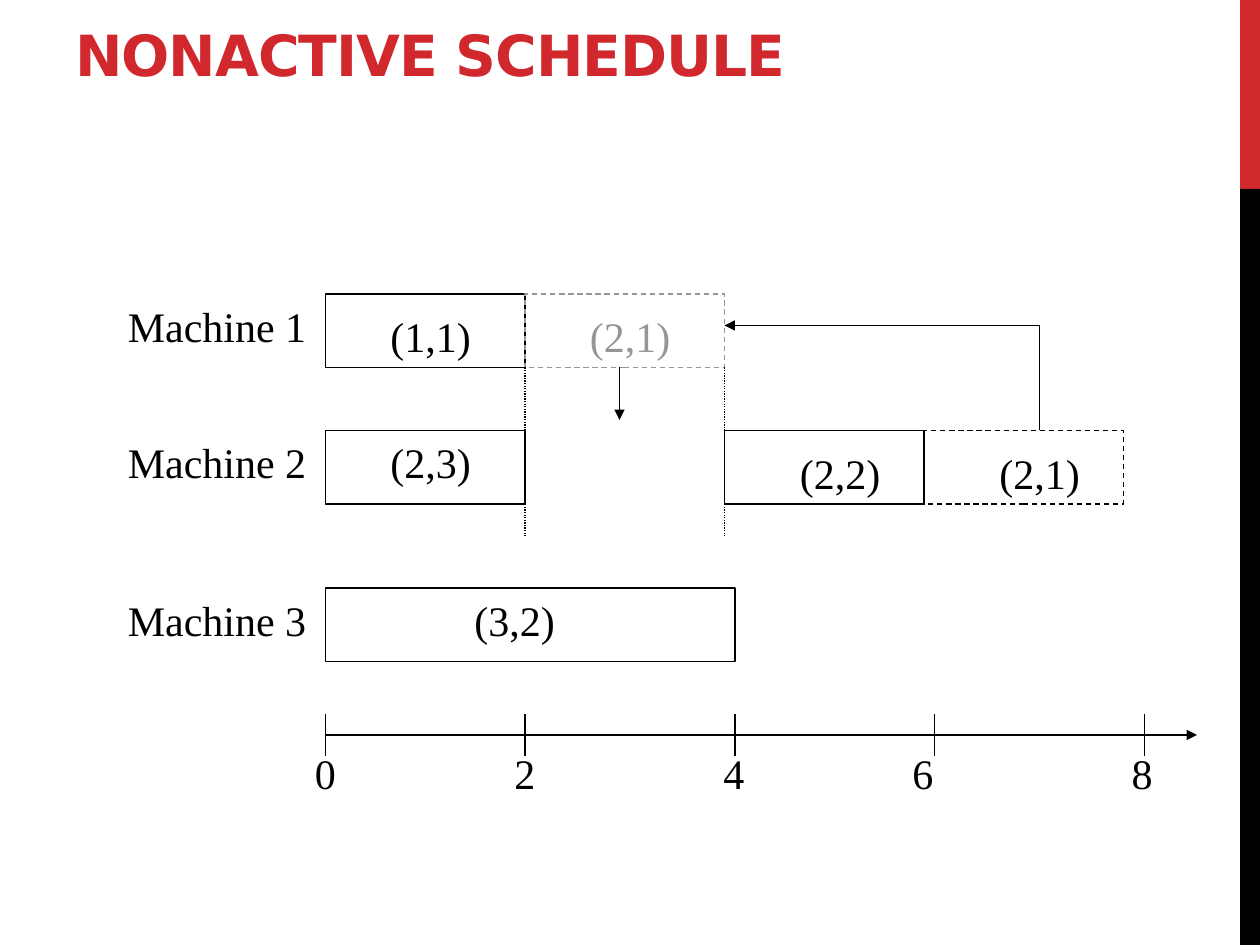
"""Build the nonactive schedule slide: a Gantt chart of three machines."""
import lxml.etree
import pptx
import pptx.dml.color
import pptx.enum.dml
import pptx.enum.shapes
import pptx.enum.text
import pptx.oxml.ns
import pptx.util

SCALE = 7620
COLORS = {"red": "D1282E", "black": "000000", "gray": "969696"}
DASHES = {
    "dash": pptx.enum.dml.MSO_LINE.DASH,
    "dot": pptx.enum.dml.MSO_LINE.ROUND_DOT,
}
BODY_FONT = {"name": "Times New Roman", "size": pptx.util.Pt(24)}
TITLE_FONT = {"name": "DejaVu Sans", "size": pptx.util.Pt(32.4), "bold": True}

BAR_HEIGHT = 70
TEXT_HEIGHT = 60
INSET = 12
MACHINES = {"Machine 1": 280, "Machine 2": 410, "Machine 3": 560}
BARS = [
    ("(3,2)", 310, 560, 390, 440, 560, "black", None),
    ("(2,3)", 310, 410, 190, 360, 410, "black", None),
    ("(1,1)", 310, 280, 190, 360, 290, "black", None),
    ("(2,2)", 690, 410, 190, 750, 420, "black", None),
    ("(2,1)", 880, 410, 190, 940, 420, "black", "dash"),
    ("(2,1)", 500, 280, 190, 550, 290, "gray", "dash"),
]
TICKS = [310, 500, 700, 890, 1090]
TICK_LABELS = {"0": 310, "2": 500, "4": 699, "6": 879, "8": 1088}


def px(*lengths):
    """Turn px lengths into a list of EMU lengths."""
    return [pptx.util.Emu(length * SCALE) for length in lengths]


def rgb(color):
    """Look up a named colour."""
    return pptx.dml.color.RGBColor.from_string(COLORS[color])


def add_child(parent, tag, **attributes):
    """Append a drawing element to an XML parent."""
    child = lxml.etree.SubElement(parent, pptx.oxml.ns.qn(tag))
    for name, value in attributes.items():
        child.set(name, str(value))
    return child


def style_line(line, color, dash):
    """Give an outline its colour, width and dash."""
    line.color.rgb = rgb(color)
    line.width = pptx.util.Pt(0.75)
    if dash:
        line.dash_style = DASHES[dash]


def add_rectangle(slide, box, fill=None, color="black", dash=None):
    """Add a filled block or an outlined bar."""
    shape = slide.shapes.add_shape(
        pptx.enum.shapes.MSO_SHAPE.RECTANGLE, *px(*box))
    shape.shadow.inherit = False
    if fill:
        shape.fill.solid()
        shape.fill.fore_color.rgb = rgb(fill)
        shape.line.fill.background()
    else:
        shape.fill.background()
        style_line(shape.line, color, dash)


def add_line(slide, start, end, dash=None, arrow=False):
    """Add a straight line, with an arrowhead at its end if asked."""
    connector = slide.shapes.add_connector(
        pptx.enum.shapes.MSO_CONNECTOR.STRAIGHT, *px(*start, *end))
    style_line(connector.line, "black", dash)
    if arrow:
        add_child(connector.line._get_or_add_ln(), "a:tailEnd", type="triangle")
    add_child(connector._element.spPr, "a:effectLst")


def add_text(slide, text, box, color="black", font=BODY_FONT, wrap=True):
    """Add a one-paragraph text box and return it."""
    shape = slide.shapes.add_textbox(*px(*box))
    shape.text_frame.word_wrap = wrap
    paragraph = shape.text_frame.paragraphs[0]
    run = paragraph.add_run()
    run.text = text
    for name, value in font.items():
        setattr(run.font, name, value)
    run.font.color.rgb = rgb(color)
    return shape


def add_title(slide, text):
    """Add the title at the top left."""
    shape = add_text(slide, text, (60, 20, 760, 70), "red", TITLE_FONT)
    shape.text_frame.vertical_anchor = pptx.enum.text.MSO_ANCHOR.BOTTOM
    run = shape.text_frame.paragraphs[0].runs[0]
    run.font._element.set("spc", "-60")


def add_bar(slide, label, left, top, width, text_left, text_top, color, dash):
    """Add one operation bar with its label."""
    add_rectangle(slide, (left, top, width, BAR_HEIGHT), color=color, dash=dash)
    add_text(slide, label, (text_left, text_top, 101, TEXT_HEIGHT),
             color, wrap=False)


def add_axis(slide):
    """Add the time axis with its ticks and tab-aligned labels."""
    add_line(slide, (310, 700), (1140, 700), arrow=True)
    for tick in TICKS:
        add_line(slide, (tick, 680), (tick, 720))
    left = 278
    labels = "".join("\t" + label for label in TICK_LABELS)
    shape = add_text(slide, labels, (left, 706, 834, TEXT_HEIGHT))
    properties = shape.text_frame.paragraphs[0]._p.get_or_add_pPr()
    tabs = add_child(properties, "a:tabLst")
    for center in TICK_LABELS.values():
        add_child(tabs, "a:tab", pos=(center - left - INSET) * SCALE, algn="ctr")


def main():
    """Build and save the slide."""
    presentation = pptx.Presentation()
    presentation.slide_width, presentation.slide_height = px(1200, 900)
    slide = presentation.slides.add_slide(presentation.slide_layouts[6])
    add_rectangle(slide, (1181, 0, 19, 180), fill="red")
    add_rectangle(slide, (1181, 180, 19, 720), fill="black")
    add_title(slide, "NONACTIVE SCHEDULE")
    for machine, top in MACHINES.items():
        add_text(slide, machine, (110, top, 200, TEXT_HEIGHT))
    for bar in BARS:
        add_bar(slide, *bar)
    add_axis(slide)
    add_line(slide, (990, 310), (690, 310), arrow=True)
    add_line(slide, (990, 410), (990, 310))
    add_line(slide, (590, 350), (590, 400), arrow=True)
    for boundary in (500, 690):
        add_line(slide, (boundary, 350), (boundary, 510), dash="dot")
    presentation.save("out.pptx")


if __name__ == "__main__":
    main()
